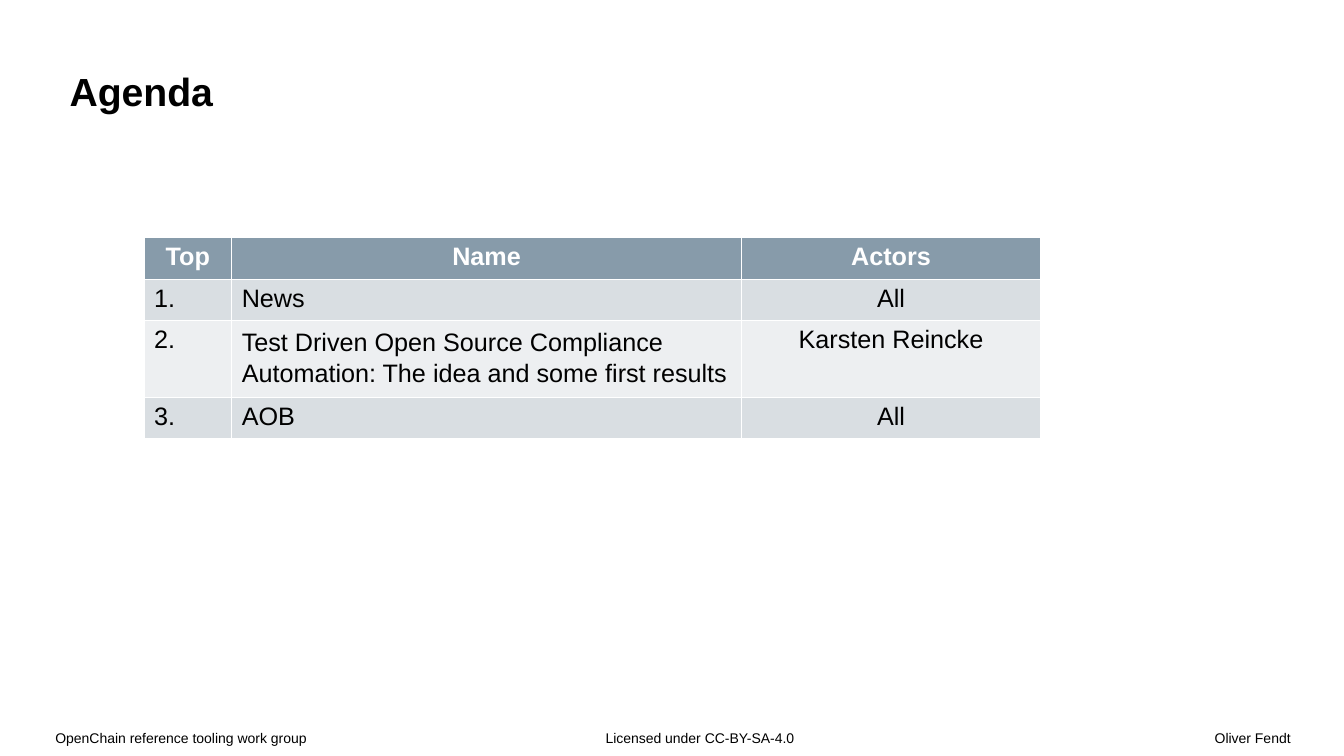
from dataclasses import dataclass

from pptx import Presentation
from pptx.dml.color import RGBColor
from pptx.enum.text import MSO_ANCHOR, MSO_AUTO_SIZE, PP_ALIGN as Align
from pptx.slide import Slide
from pptx.text.text import TextFrame
from pptx.util import Inches, Pt

COLORS = {
    "text": "000000",
    "header_text": "FFFFFF",
    "header": "879BAA",
    "band_dark": "D9DEE2",
    "band_light": "EDEFF1",
}


@dataclass(frozen=True)
class FooterPart:
    text: str
    left: float
    width: float
    inset_left: float = 0
    inset_right: float = 0
    align: Align = Align.LEFT


@dataclass(frozen=True)
class AgendaItem:
    top: str
    name: str
    actors: str
    height: float = 0.41
    name_spacing: float = 1.0


FOOTER = [
    FooterPart("OpenChain reference tooling work group", 0.31, 3.4, inset_left=0.24),
    FooterPart("Licensed under CC-BY-SA-4.0", 5.32, 3.01, inset_left=0.69),
    FooterPart("Oliver Fendt", 4.14, 9.2, inset_right=0.53, align=Align.RIGHT),
]
HEADER = AgendaItem("Top", "Name", "Actors")
ITEMS = [
    AgendaItem("1.", "News", "All"),
    AgendaItem(
        "2.",
        "Test Driven Open Source Compliance Automation: The idea and some first results",
        "Karsten Reincke",
        height=0.72,
        name_spacing=1.1,
    ),
    AgendaItem("3.", "AOB", "All"),
]
COLUMN_WIDTHS = [0.87, 5.06, 2.97]


def write(frame: TextFrame, text: str, *, size: float, color: str = "text",
          bold: bool = False, align: Align = Align.LEFT, spacing: float = 1.0) -> None:
    paragraph = frame.paragraphs[0]
    paragraph.alignment = align
    paragraph.line_spacing = spacing
    run = paragraph.add_run()
    run.text = text
    run.font.name = "Arial"
    run.font.size = Pt(size)
    run.font.bold = bold
    run.font.color.rgb = RGBColor.from_string(COLORS[color])


def set_insets(frame: TextFrame, left: float, top: float, right: float, bottom: float) -> None:
    frame.margin_left, frame.margin_top = Inches(left), Inches(top)
    frame.margin_right, frame.margin_bottom = Inches(right), Inches(bottom)


def add_title(slide: Slide, text: str) -> None:
    title = slide.shapes.title
    title.left, title.top = Inches(0), Inches(0)
    title.width, title.height = Inches(13.34), Inches(1.39)
    frame = title.text_frame
    frame.word_wrap = True
    frame.auto_size = MSO_AUTO_SIZE.NONE
    frame.vertical_anchor = MSO_ANCHOR.BOTTOM
    set_insets(frame, 0.69, 0.43, 2.32, 0.26)
    write(frame, text, size=28, bold=True)


def add_footer_part(slide: Slide, part: FooterPart) -> None:
    box = slide.shapes.add_textbox(
        Inches(part.left), Inches(7.22), Inches(part.width), Inches(0.28))
    frame = box.text_frame
    frame.word_wrap = True
    set_insets(frame, part.inset_left, 0, part.inset_right, 0.13)
    write(frame, part.text, size=10, align=part.align, spacing=1.1)


def add_agenda(slide: Slide) -> None:
    """Draw the table; its default style supplies the white rules between cells."""
    rows = [HEADER, *ITEMS]
    table = slide.shapes.add_table(
        len(rows), len(COLUMN_WIDTHS), Inches(1.43), Inches(2.36),
        Inches(sum(COLUMN_WIDTHS)), Inches(sum(item.height for item in rows))).table
    for column, width in zip(table.columns, COLUMN_WIDTHS):
        column.width = Inches(width)

    for index, item in enumerate(rows):
        table.rows[index].height = Inches(item.height)
        is_header = index == 0
        band = "header" if is_header else "band_dark" if index % 2 else "band_light"
        fields = [
            (item.top, Align.LEFT, 1.0),
            (item.name, Align.LEFT, item.name_spacing),
            (item.actors, Align.CENTER, 1.0),
        ]
        for cell, (text, align, spacing) in zip(table.rows[index].cells, fields):
            cell.fill.solid()
            cell.fill.fore_color.rgb = RGBColor.from_string(COLORS[band])
            write(cell.text_frame, text, size=18, bold=is_header,
                  color="header_text" if is_header else "text",
                  align=Align.CENTER if is_header else align, spacing=spacing)


def main() -> None:
    deck = Presentation()
    deck.slide_width, deck.slide_height = Inches(13.34), Inches(7.5)
    slide = deck.slides.add_slide(deck.slide_layouts.get_by_name("Title Only"))
    for part in FOOTER:
        add_footer_part(slide, part)
    add_title(slide, "Agenda")
    add_agenda(slide)
    deck.save("out.pptx")


if __name__ == "__main__":
    main()
